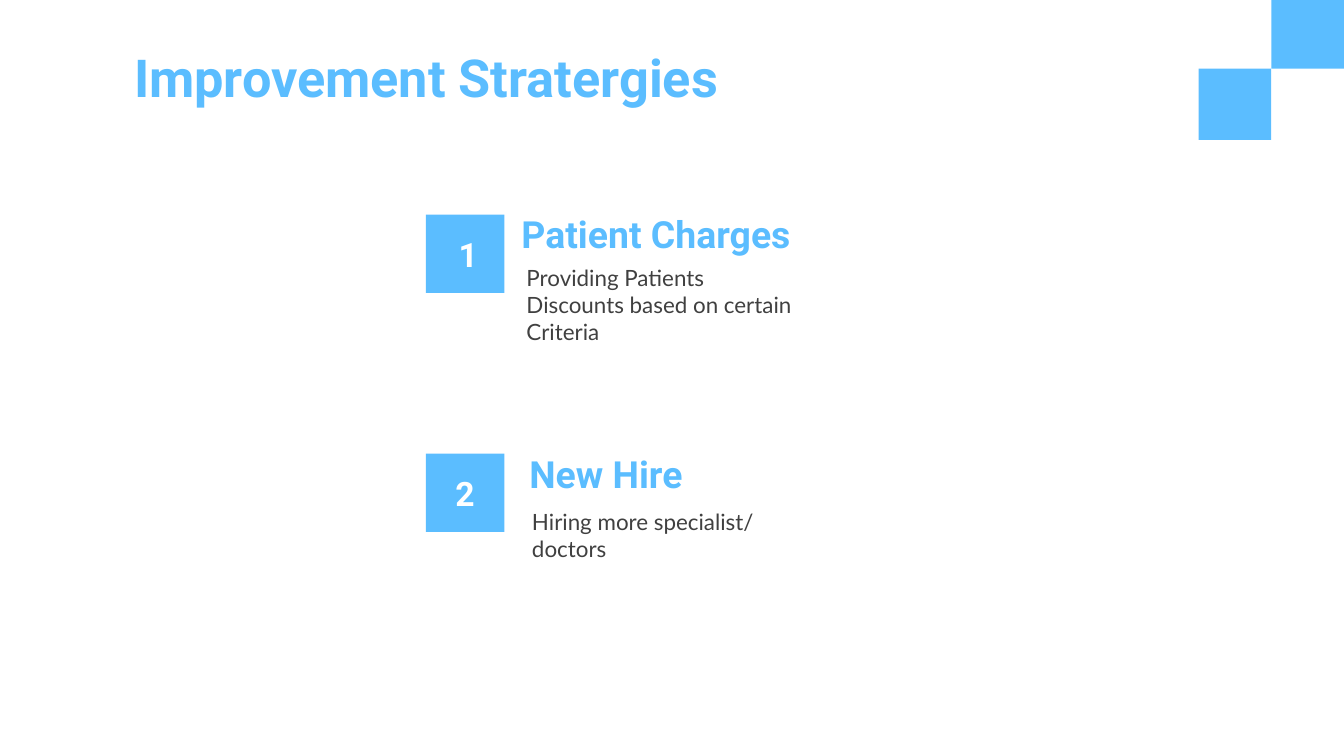
from dataclasses import dataclass

from pptx import Presentation
from pptx.dml.color import RGBColor
from pptx.enum.shapes import MSO_SHAPE as Shape
from pptx.enum.text import MSO_ANCHOR as Anchor, PP_ALIGN as Align
from pptx.util import Pt


@dataclass(frozen=True)
class Theme:
    blue: RGBColor = RGBColor(0x5B, 0xBD, 0xFF)
    grey: RGBColor = RGBColor(0x40, 0x40, 0x40)
    white: RGBColor = RGBColor(0xFF, 0xFF, 0xFF)
    heading_font: str = "Roboto"
    body_font: str = "Lato"
    title_size: int = 28
    heading_size: int = 20
    number_size: int = 18
    body_size: int = 12


theme = Theme()
presentation = Presentation()
presentation.slide_width, presentation.slide_height = Pt(720), Pt(405)
slide = presentation.slides.add_slide(presentation.slide_layouts[6])


def add_square(left, top, width, height):
    shape = slide.shapes.add_shape(
        Shape.RECTANGLE, Pt(left), Pt(top), Pt(width), Pt(height))
    shape.shadow.inherit = False
    shape.fill.solid()
    shape.fill.fore_color.rgb = theme.blue
    shape.line.fill.background()


def add_text(text, box, size, color=theme.blue, name=theme.heading_font,
             bold=True, anchor=Anchor.MIDDLE, align=Align.LEFT):
    frame = slide.shapes.add_textbox(*[Pt(length) for length in box]).text_frame
    frame.word_wrap = True
    frame.vertical_anchor = anchor
    frame.margin_left = frame.margin_right = Pt(7.2)
    frame.margin_top = frame.margin_bottom = Pt(7.2)
    frame.text = text
    paragraph = frame.paragraphs[0]
    paragraph.alignment = align
    font = paragraph.runs[0].font
    font.size, font.name, font.bold = Pt(size), name, bold
    font.color.rgb = color
    return paragraph


# Corner decoration: two squares stepping down to the left
for left, top in [(681.1, -1.4), (642.2, 36.8)]:
    add_square(left, top, 38.9, 38.2)

# Slide title
title = add_text("Improvement Stratergies", (64.8, 20.9, 393.8, 48.2),
                 theme.title_size, anchor=Anchor.TOP)
title.line_spacing = 0.9

# Numbered strategies: square, number, heading, description
strategies = [
    (115, "1", (228.2, 122.4, 45.4, 27.4),
     "Patient Charges", (272.2, 111.6, 174.2, 27.4),
     "Providing Patients Discounts based on certain Criteria",
     (275, 134.6, 160.6, 45.4)),
    (243, "2", (220.3, 250.6, 57.6, 27.4),
     "New Hire", (276.5, 239.8, 129.6, 27.4),
     "Hiring more specialist/ doctors", (277.9, 265, 157, 43.9)),
]
for (square_top, number, number_box, heading, heading_box,
     description, description_box) in strategies:
    add_square(228.2, square_top, 42, 42)
    add_text(number, number_box, theme.number_size, theme.white,
             align=Align.CENTER)
    add_text(heading, heading_box, theme.heading_size)
    add_text(description, description_box, theme.body_size, theme.grey,
             theme.body_font, bold=False, anchor=Anchor.TOP)

presentation.save("out.pptx")
